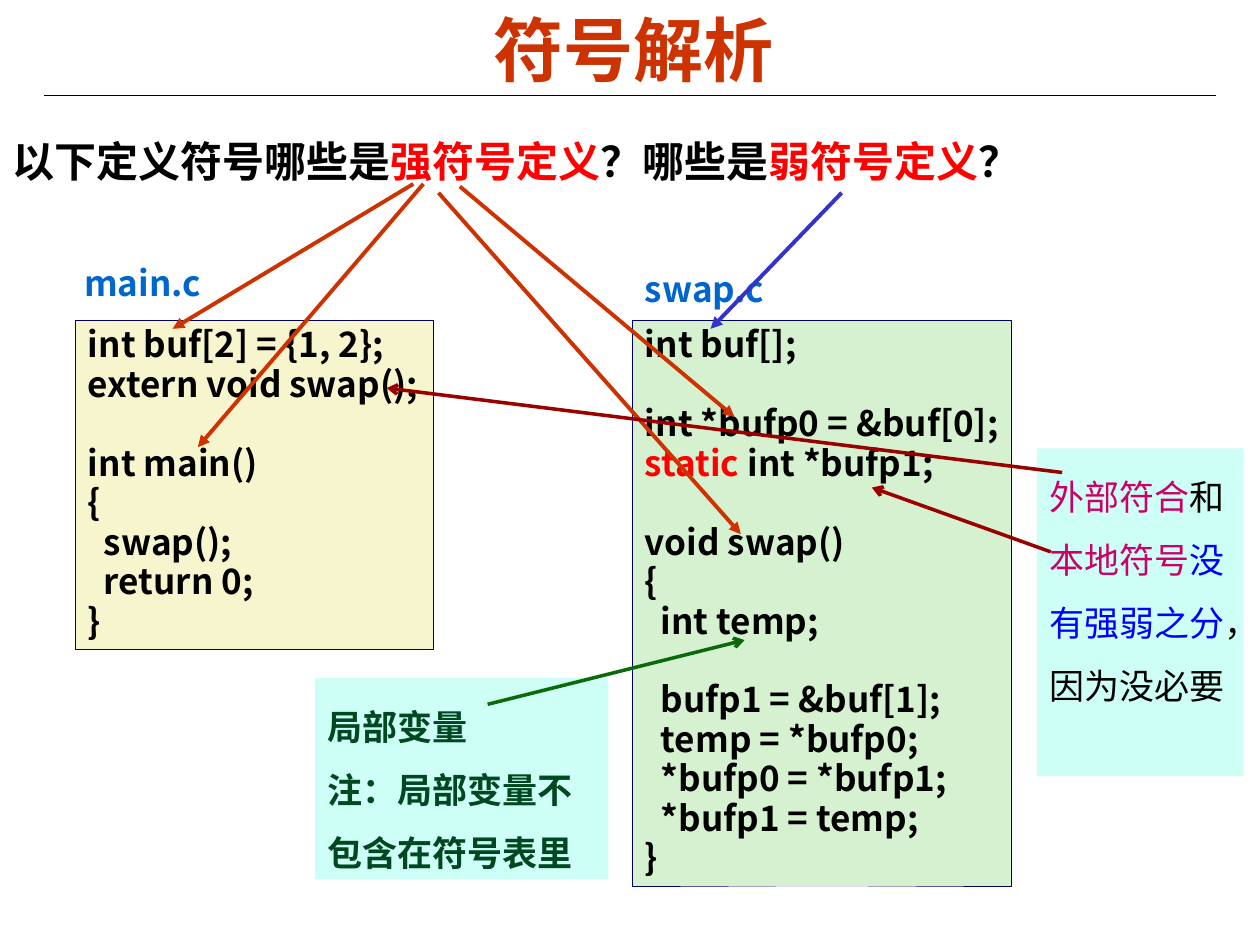
from lxml.etree import SubElement
from pptx import Presentation
from pptx.dml.color import RGBColor
from pptx.enum.shapes import MSO_CONNECTOR, MSO_SHAPE
from pptx.enum.text import MSO_ANCHOR, PP_ALIGN
from pptx.oxml.ns import qn
from pptx.util import Inches, Pt

THEME = {
    "code_font": "Noto Sans CJK SC", "heading_font": "Arial",
    "title_size": 40, "question_size": 24, "body_size": 20,
    "code_spacing": 0.94, "note_spacing": 1.5, "blank_line": 22.5,
    "black": "000000", "red": "FF0000", "orange": "CC3300", "file": "0066CC",
    "main_fill": "F7F5CD", "swap_fill": "D5F1CF", "note_fill": "CDFFF7",
    "border": "000066", "local": "004821", "pink": "CC0066", "blue": "0000FF",
    "weak": "3333CC", "maroon": "990000", "green": "0A6A0A",
}

# Each paragraph is a list of (text, colour) runs.
TITLE = [[("符号解析", "orange")]]
QUESTION = [[("以下定义符号哪些是", "black"), ("强符号定义", "red"), ("？哪些是", "black"),
             ("弱符号定义", "red"), ("？", "black")]]
LOCAL_NOTE = [[("局部变量", "local")], [("注：局部变量不包含在符号表里", "local")]]
EXTERNAL_NOTE = [[("外部符合", "pink"), ("和", "black"), ("本地符号", "pink"),
                  ("没有强弱之分", "blue"), ("，因为没必要", "black")]]

MAIN_CODE = """int buf[2] = {1, 2};
extern void swap();

int main()
{
  swap();
  return 0;
}"""
SWAP_CODE = """int buf[];

int *bufp0 = &buf[0];
static int *bufp1;

void swap()
{
  int temp;

  bufp1 = &buf[1];
  temp = *bufp0;
  *bufp0 = *bufp1;
  *bufp1 = temp;
}"""

# file name, its box, source, source box, fill
FILES = [
    ("main.c", (0.57, 2.05, 1.29, 0.42), MAIN_CODE, (0.6, 2.54, 2.84, 2.61), "main_fill"),
    ("swap.c", (5.02, 2.1, 1.46, 0.42), SWAP_CODE, (5.02, 2.54, 3.01, 4.49), "swap_fill"),
]

# start, end, colour, width, head
ARROWS = [
    ((3.36, 1.46), (1.57, 3.55), "orange", 2.25, "triangle"),
    ((3.28, 1.46), (1.37, 2.61), "orange", 2.25, "triangle"),
    ((3.65, 1.48), (5.83, 3.31), "orange", 2.25, "triangle"),
    ((3.48, 1.53), (5.88, 4.24), "orange", 2.25, "triangle"),
    ((6.68, 1.53), (5.64, 2.61), "weak", 2.25, "triangle"),
    ((8.43, 3.75), (3.07, 3.08), "maroon", 2, "arrow"),
    ((8.34, 4.38), (6.92, 3.87), "maroon", 2, "arrow"),
    ((3.87, 5.59), (5.91, 5.08), "green", 2, "arrow"),
]


def color(name):
    return RGBColor.from_string(THEME[name])


def code_paragraphs(source):
    """Split code into paragraphs and the gap before each; blank lines become gaps."""
    paragraphs, gaps, gap = [], [], 0
    for line in source.split("\n"):
        if not line:
            gap += THEME["blank_line"]
            continue
        keyword, found, rest = line.partition("static")
        paragraphs.append([(found, "red"), (rest, "black")] if found else [(keyword, "black")])
        gaps.append(gap)
        gap = 0
    return paragraphs, gaps


def write(shape, paragraphs, size="body_size", font="code_font", bold=True,
          spacing=None, gaps=None, wrap=True):
    frame = shape.text_frame
    frame.word_wrap = wrap
    frame.vertical_anchor = MSO_ANCHOR.TOP
    for index, runs in enumerate(paragraphs):
        paragraph = frame.add_paragraph() if index else frame.paragraphs[0]
        paragraph.alignment = PP_ALIGN.LEFT
        if spacing:
            paragraph.line_spacing = THEME[spacing]
        if gaps and gaps[index]:
            paragraph.space_before = Pt(gaps[index])
        for text, run_color in runs:
            run = paragraph.add_run()
            run.text = text
            run.font.size = Pt(THEME[size])
            run.font.bold = bold
            run.font.name = THEME[font]
            run.font.color.rgb = color(run_color)
            east_asian = SubElement(run.font._element, qn("a:ea"))
            east_asian.set("typeface", THEME["code_font"])


def add_text(slide, box, paragraphs, **style):
    write(slide.shapes.add_textbox(*map(Inches, box)), paragraphs, **style)


def add_panel(slide, box, fill, paragraphs, border=None, **style):
    panel = slide.shapes.add_shape(MSO_SHAPE.RECTANGLE, *map(Inches, box))
    panel.shadow.inherit = False
    panel.fill.solid()
    panel.fill.fore_color.rgb = color(fill)
    if border:
        panel.line.color.rgb = color(border)
        panel.line.width = Pt(0.25)
    else:
        panel.line.fill.background()
    write(panel, paragraphs, **style)


def add_line(slide, start, end, line_color, width, head=None):
    line = slide.shapes.add_connector(MSO_CONNECTOR.STRAIGHT, *map(Inches, start + end))
    line.line.color.rgb = color(line_color)
    line.line.width = Pt(width)
    if head:
        SubElement(line.line._get_or_add_ln(), qn("a:tailEnd")).set("type", head)
    SubElement(line._element.spPr, qn("a:effectLst"))


def main():
    deck = Presentation()
    deck.slide_width, deck.slide_height = Inches(10), Inches(7.5)
    slide = deck.slides.add_slide(deck.slide_layouts[6])

    add_line(slide, (0.35, 0.76), (9.65, 0.76), "black", 0.75)
    add_text(slide, (3.82, 0, 5, 0.77), TITLE, size="title_size", font="heading_font")
    add_text(slide, (0, 1.03, 7.89, 0.5), QUESTION, size="question_size", font="heading_font")
    for name, name_box, source, source_box, fill in FILES:
        paragraphs, gaps = code_paragraphs(source)
        add_panel(slide, source_box, fill, paragraphs, border="border",
                  spacing="code_spacing", gaps=gaps, wrap=False)
        add_text(slide, name_box, [[(name, "file")]], spacing="code_spacing")
    add_panel(slide, (2.5, 5.38, 2.33, 1.6), "note_fill", LOCAL_NOTE, spacing="note_spacing")
    add_panel(slide, (8.23, 3.56, 1.64, 2.6), "note_fill", EXTERNAL_NOTE,
              spacing="note_spacing", bold=False)
    for arrow in ARROWS:
        add_line(slide, *arrow)

    deck.save("out.pptx")


if __name__ == "__main__":
    main()
